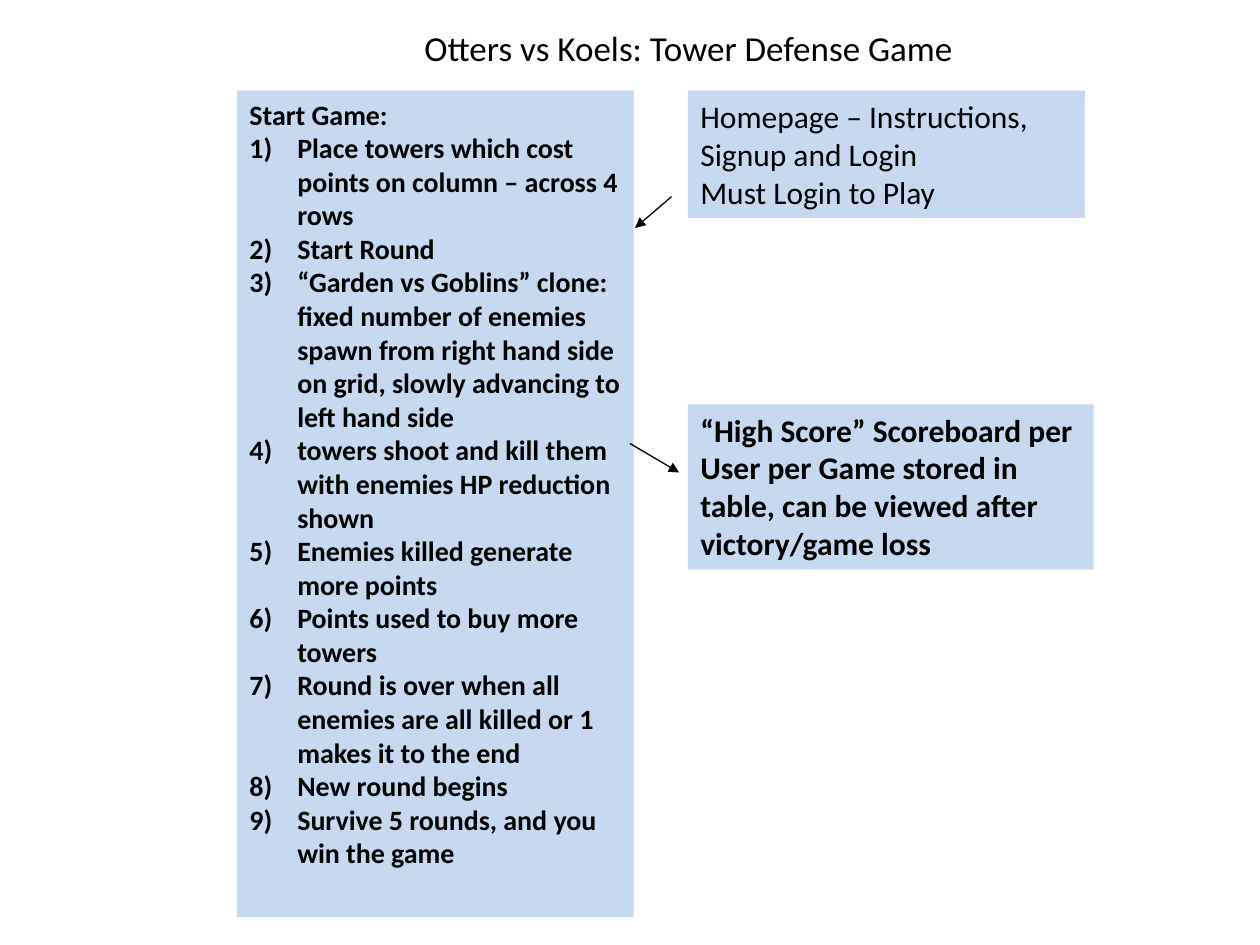
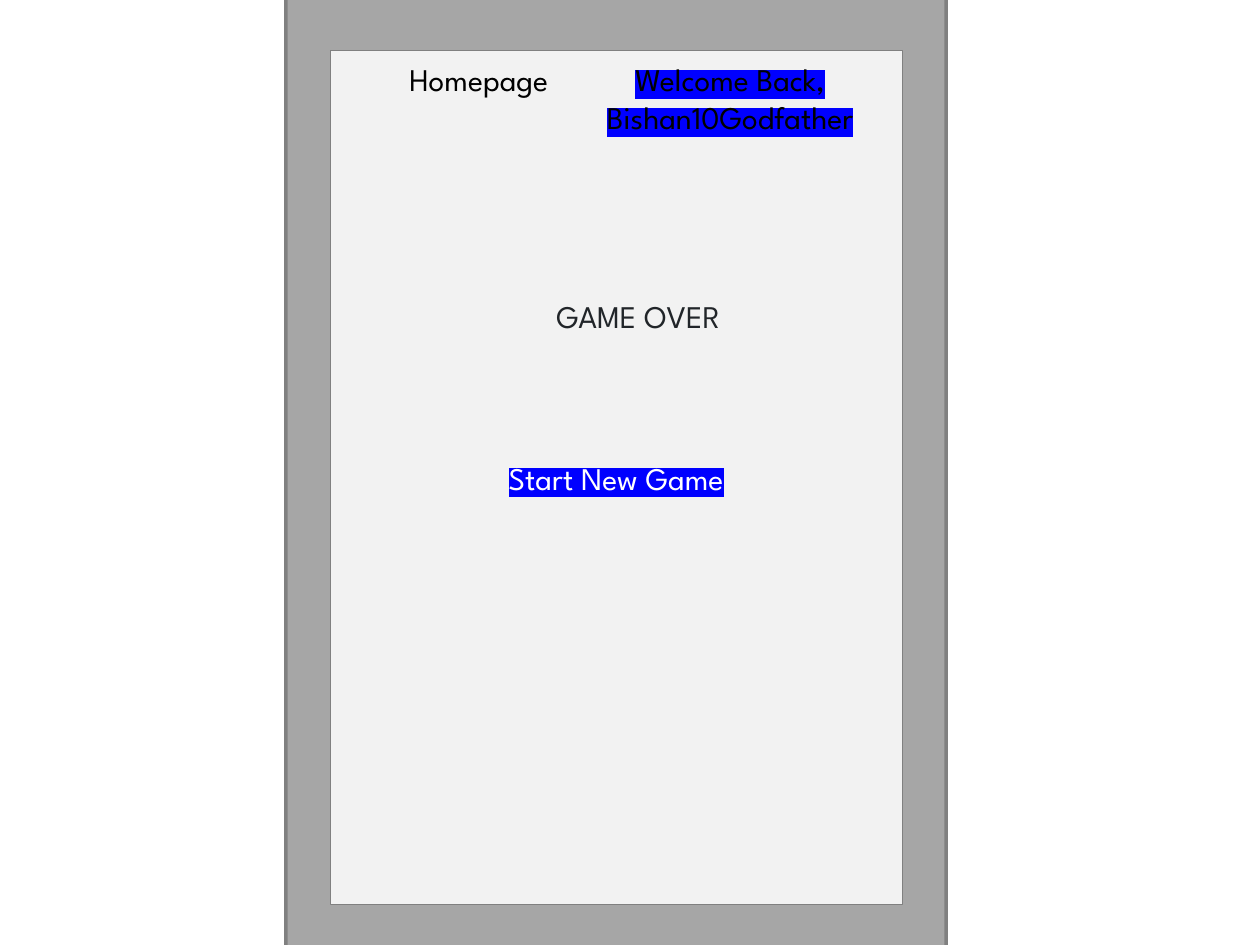
from lxml.etree import SubElement
from pptx import Presentation
from pptx.dml.color import RGBColor
from pptx.enum.shapes import MSO_CONNECTOR as Connector, MSO_SHAPE as Shape
from pptx.enum.text import MSO_ANCHOR as Anchor, MSO_AUTO_SIZE as AutoSize, PP_ALIGN as Align
from pptx.oxml.ns import qn
from pptx.util import Inches, Pt

# Shared look
BLACK, PANEL, BLUE = "000000", "C6D9F1", "0000FF"
FLOW_FONT = {"name": "Calibri", "size": Pt(18), "bold": False}
GAME_FONT = {"name": "League Spartan", "size": Pt(18), "bold": False}
INDENT = 0.38

# Slide 1: flow of the game
FLOW_TITLE = "Otters vs Koels: Tower Defense Game"
START_HEADING = "Start Game:"
START_STEPS = [
    "Place towers which cost points on column – across 4 rows",
    "Start Round",
    "“Garden vs Goblins” clone: fixed number of enemies spawn from right hand side on grid, "
    "slowly advancing to left hand side",
    "towers shoot and kill them with enemies HP reduction shown",
    "Enemies killed generate more points",
    "Points used to buy more towers",
    "Round is over when all enemies are all killed or 1 makes it to the end",
    "New round begins",
    "Survive 5 rounds, and you win the game",
]
FLOW_PANELS = [  # place, paragraphs, bold
    ((5.46, 3.21, 3.22, 1.31),
     ["“High Score” Scoreboard per User per Game stored in table, "
      "can be viewed after victory/game loss"], True),
    ((5.46, 0.72, 3.15, 1.01),
     ["Homepage – Instructions, Signup and Login", "Must Login to Play"], False),
]
FLOW_ARROWS = [((5.33, 1.56), (5.04, 1.81)), ((5, 3.52), (5.39, 3.75))]

# Slide 2: game over screen
DEVICE_PARTS = [  # preset, place, fill, line width, label
    (Shape.ROUNDED_RECTANGLE, (2.27, -1.4, 5.24, 10.38), "A6A6A6", 2, None),
    (Shape.RECTANGLE, (2.62, 0.4, 4.54, 6.78), "F2F2F2", 0.25, "Start New Game"),
]
SCREEN_LABELS = [  # place, text, highlight
    ((2.31, 0.43, 2.98, 0.4), "Homepage", None),
    ((4.5, 0.43, 2.59, 0.73), "Welcome Back, Bishan10Godfather", BLUE),
]


def color(hex_string):
    return RGBColor.from_string(hex_string)


def inches(values):
    return [Inches(value) for value in values]


def place(shape, box):
    for name, value in zip(("left", "top", "width", "height"), inches(box)):
        setattr(shape, name, value)


def paint(shape, fill):
    shape.fill.solid()
    shape.fill.fore_color.rgb = color(fill)


def write(shape, texts, font, text_color=BLACK, align=Align.LEFT, anchor=Anchor.TOP,
          highlight=None):
    frame = shape.text_frame
    frame.text = "\n".join(texts)
    frame_format = {"word_wrap": True, "auto_size": AutoSize.NONE, "vertical_anchor": anchor}
    for name, value in frame_format.items():
        setattr(frame, name, value)
    for paragraph in frame.paragraphs:
        paragraph.alignment = align
        paragraph.space_before = Pt(0)
        for run in paragraph.runs:
            for name, value in font.items():
                setattr(run.font, name, value)
            run.font.color.rgb = color(text_color)
            if highlight:
                properties = run._r.get_or_add_rPr()
                mark = SubElement(properties, qn("a:highlight"))
                SubElement(mark, qn("a:srgbClr"), val=highlight)
                properties.find(qn("a:solidFill")).addnext(mark)


def set_list_style(paragraph, numbered):
    properties = paragraph._p.get_or_add_pPr()
    indent = Inches(INDENT) if numbered else 0
    properties.set("marL", str(indent))
    properties.set("indent", str(-indent))
    if numbered:
        SubElement(properties, qn("a:buFont"), typeface="+mj-lt")
        SubElement(properties, qn("a:buAutoNum"), type="arabicParenR")
    else:
        SubElement(properties, qn("a:buNone"))


def add_shape(slide, preset, box, fill):
    shape = slide.shapes.add_shape(preset, *inches(box))
    shape.shadow.inherit = False
    paint(shape, fill)
    return shape


def add_arrow(slide, start, end):
    arrow = slide.shapes.add_connector(Connector.STRAIGHT, *inches(start + end))
    arrow.line.color.rgb = color(BLACK)
    arrow.line.width = Pt(0.75)
    SubElement(arrow.line._get_or_add_ln(), qn("a:tailEnd"), type="triangle")
    SubElement(arrow._element.spPr, qn("a:effectLst"))


def set_title(slide, box, text, font, text_color=BLACK):
    title = slide.shapes.title
    place(title, box)
    write(title, [text], font, text_color, Align.CENTER)
    slide.shapes._spTree.append(title._element)  # bring to front


def build_flow(presentation):
    slide = presentation.slides.add_slide(presentation.slide_layouts[1])

    # Numbered steps
    steps = slide.placeholders[1]
    place(steps, (1.88, 0.72, 3.15, 6.56))
    paint(steps, PANEL)
    write(steps, [START_HEADING, *START_STEPS], {**FLOW_FONT, "size": Pt(16), "bold": True})
    for number, paragraph in enumerate(steps.text_frame.paragraphs):
        set_list_style(paragraph, numbered=number > 0)

    # Side panels and arrows
    for box, texts, bold in FLOW_PANELS:
        panel = add_shape(slide, Shape.RECTANGLE, box, PANEL)
        panel.line.fill.background()
        write(panel, texts, {**FLOW_FONT, "bold": bold})
    for start, end in FLOW_ARROWS:
        add_arrow(slide, start, end)
    set_title(slide, (2.1, 0.16, 6.73, 0.44), FLOW_TITLE, {**FLOW_FONT, "size": Pt(20)})


def build_game_over(presentation):
    slide = presentation.slides.add_slide(presentation.slide_layouts[5])

    # Device and its screen
    for preset, box, fill, line_width, label in DEVICE_PARTS:
        part = add_shape(slide, preset, box, fill)
        part.line.color.rgb = color("808080")
        part.line.width = Pt(line_width)
        if label:
            write(part, [label], GAME_FONT, "FFFFFF", Align.CENTER, Anchor.MIDDLE, BLUE)

    # Labels on the screen
    for box, text, highlight in SCREEN_LABELS:
        label = slide.shapes.add_textbox(*inches(box))
        write(label, [text], GAME_FONT, align=Align.CENTER, highlight=highlight)
    set_title(slide, (3.41, 2.31, 3.31, 0.71), "GAME OVER", GAME_FONT, "212529")


def main():
    presentation = Presentation()
    presentation.slide_width, presentation.slide_height = inches((10, 7.5))
    build_flow(presentation)
    build_game_over(presentation)
    presentation.save("out.pptx")


if __name__ == "__main__":
    main()
